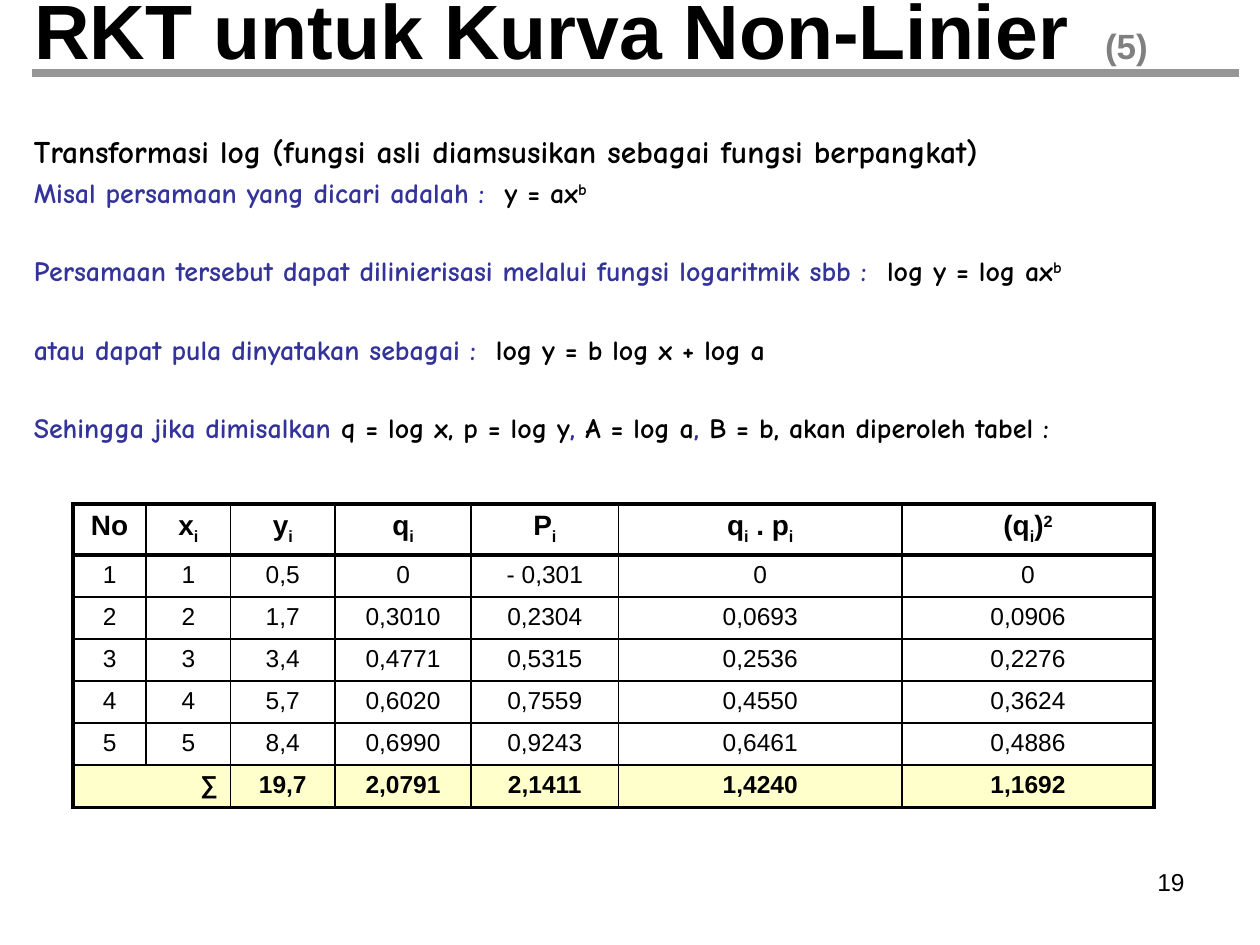
import pptx
import pptx.dml.color
import pptx.enum.shapes
import pptx.enum.text
import pptx.oxml
import pptx.oxml.ns
import pptx.util
from pptx.util import Inches

THEME = {
    "ink": "000000", "blue": "333399", "gray": "808080", "rule": "969696", "total": "FFFFCC",
    "sans": "Arial", "hand": "Comic Neue",
    "title": 44, "part": 20, "lead": 18, "body": 16, "cell": 14,
    "thin": 1, "outer": 2.25, "heavy": 3, "rule_width": 4.5,
}
TIGHT, WIDE = 3.2, 25.6  # space before a paragraph, in points

# In all texts "_" lowers and "^" raises the character after it.
TITLE, PART = "RKT untuk Kurva Non-Linier", "(5)"
PAGE = "19"
BODY = [  # space before, size, runs of (colour, text)
    (0, "lead", [("ink", "Transformasi log (fungsi asli diamsusikan sebagai fungsi berpangkat)")]),
    (TIGHT, "body", [("blue", "Misal persamaan yang dicari adalah :  "), ("ink", "y = ax^b")]),
    (WIDE, "body", [
        ("blue", "Persamaan tersebut dapat dilinierisasi melalui fungsi logaritmik sbb :  "),
        ("ink", "log y = log ax^b")]),
    (WIDE, "body", [("blue", "atau dapat pula dinyatakan sebagai :  "),
                    ("ink", "log y = b log x + log a")]),
    (WIDE, "body", [("blue", "Sehingga jika dimisalkan "), ("ink", "q = log x, p = log y"),
                    ("blue", ", "), ("ink", "A = log a"), ("blue", ", "),
                    ("ink", "B = b, akan diperoleh tabel :")]),
]
ROWS = [
    ["No", "x_i", "y_i", "q_i", "P_i", "q_i . p_i", "(q_i)^2"],
    ["1", "1", "0,5", "0", "- 0,301", "0", "0"],
    ["2", "2", "1,7", "0,3010", "0,2304", "0,0693", "0,0906"],
    ["3", "3", "3,4", "0,4771", "0,5315", "0,2536", "0,2276"],
    ["4", "4", "5,7", "0,6020", "0,7559", "0,4550", "0,3624"],
    ["5", "5", "8,4", "0,6990", "0,9243", "0,6461", "0,4886"],
    ["∑", "", "19,7", "2,0791", "2,1411", "1,4240", "1,1692"],
]
COL_WIDTHS = [0.58, 0.67, 0.83, 1.08, 1.17, 2.25, 2]
HEAD_HEIGHT, ROW_HEIGHT = 0.37, 0.33

ALIGN = pptx.enum.text.PP_ALIGN


def rgb(name):
    return pptx.dml.color.RGBColor.from_string(THEME[name])


def add_text(p, text, size="body", color="ink", font="sans", bold=False):
    """Append text to a paragraph, with a run for each raised or lowered character."""
    pieces, base = [["", 0]], 0
    for ch in text:
        if ch in "_^":
            base = -25000 if ch == "_" else 30000
            continue
        if base or pieces[-1][1]:
            pieces.append(["", base])
        pieces[-1][0] += ch
        base = 0
    for piece, base in pieces:
        if not piece:
            continue
        r = p.add_run()
        r.text = piece
        r.font.size = pptx.util.Pt(THEME[size])
        r.font.name = THEME[font]
        r.font.bold = bold
        r.font.color.rgb = rgb(color)
        if base:
            r.font._element.set("baseline", str(base))


def add_box(s, left, top, width, height):
    tf = s.shapes.add_textbox(*map(Inches, (left, top, width, height))).text_frame
    tf.word_wrap = True
    return tf


def add_title(s):
    sp = s.shapes.title
    sp.left, sp.top, sp.width, sp.height = map(Inches, (0.17, 0, 9.25, 0.45))
    tf = sp.text_frame
    tf.word_wrap = True
    tf.auto_size = pptx.enum.text.MSO_AUTO_SIZE.NONE
    tf.vertical_anchor = pptx.enum.text.MSO_ANCHOR.MIDDLE
    p = tf.paragraphs[0]
    p.alignment = ALIGN.LEFT
    tabs = pptx.oxml.parse_xml(
        f'<a:tabLst {pptx.oxml.ns.nsdecls("a")}><a:tab pos="{Inches(8.5)}" algn="l"/></a:tabLst>')
    p._p.get_or_add_pPr().append(tabs)
    add_text(p, TITLE, size="title", bold=True)
    add_text(p, "\t" + PART, size="part", color="gray", bold=True)


def add_rule(s):
    line = s.shapes.add_connector(pptx.enum.shapes.MSO_CONNECTOR.STRAIGHT,
                                  *map(Inches, (0.25, 0.58, 9.83, 0.58)))
    line.line.color.rgb = rgb("rule")
    line.line.width = pptx.util.Pt(THEME["rule_width"])
    line._element.spPr.append(
        pptx.oxml.parse_xml(f'<a:effectLst {pptx.oxml.ns.nsdecls("a")}/>'))


def add_body(s):
    tf = add_box(s, 0.17, 1, 9.67, 2.75)
    for i, (before, size, runs) in enumerate(BODY):
        p = tf.add_paragraph() if i else tf.paragraphs[0]
        p.space_before = pptx.util.Pt(before)
        pPr = p._p.get_or_add_pPr()
        pPr.set("marL", str(Inches(0.5)))
        pPr.set("indent", str(-Inches(0.5)))
        for color, text in runs:
            add_text(p, text, size=size, color=color, font="hand", bold=True)


def set_borders(cell, **weights):
    """Draw the sides L, R, T and B, given in that order, before the cell's fill."""
    tcPr = cell._tc.get_or_add_tcPr()
    for i, (side, weight) in enumerate(weights.items()):
        tcPr.insert(i, pptx.oxml.parse_xml(
            f'<a:ln{side} {pptx.oxml.ns.nsdecls("a")} w="{pptx.util.Pt(THEME[weight])}">'
            f'<a:solidFill><a:srgbClr val="{THEME["ink"]}"/></a:solidFill></a:ln{side}>'))


def add_values(s):
    heights = [HEAD_HEIGHT] + [ROW_HEIGHT] * (len(ROWS) - 1)
    table = s.shapes.add_table(
        len(ROWS), len(COL_WIDTHS),
        *map(Inches, (0.58, 4, sum(COL_WIDTHS), sum(heights)))).table
    for col, width in zip(table.columns, COL_WIDTHS):
        col.width = Inches(width)
    for row, height in zip(table.rows, heights):
        row.height = Inches(height)
    last_row, last_col = len(ROWS) - 1, len(COL_WIDTHS) - 1
    table.cell(last_row, 0).merge(table.cell(last_row, 1))
    for i, row in enumerate(ROWS):
        for j, text in enumerate(row):
            cell = table.cell(i, j)
            if i == last_row:
                cell.fill.solid()
                cell.fill.fore_color.rgb = rgb("total")
            else:
                cell.fill.background()
            set_borders(cell,
                        L="outer" if j == 0 else "thin",
                        R="outer" if j == last_col else "thin",
                        T={0: "outer", 1: "heavy"}.get(i, "thin"),
                        B={0: "heavy", last_row: "outer"}.get(i, "thin"))
            p = cell.text_frame.paragraphs[0]
            p.alignment = ALIGN.RIGHT if (i, j) == (last_row, 0) else ALIGN.CENTER
            add_text(p, text, size="cell" if i else "body", bold=i in (0, last_row))


def main():
    prs = pptx.Presentation()
    prs.slide_width, prs.slide_height = Inches(10), Inches(7.5)
    s = prs.slides.add_slide(prs.slide_layouts.get_by_name("Title Only"))
    add_title(s)
    add_rule(s)
    add_body(s)
    add_values(s)
    p = add_box(s, 7.17, 6.83, 2.33, 0.52).paragraphs[0]
    p.alignment = ALIGN.RIGHT
    add_text(p, PAGE, size="cell")
    prs.save("out.pptx")


if __name__ == "__main__":
    main()
